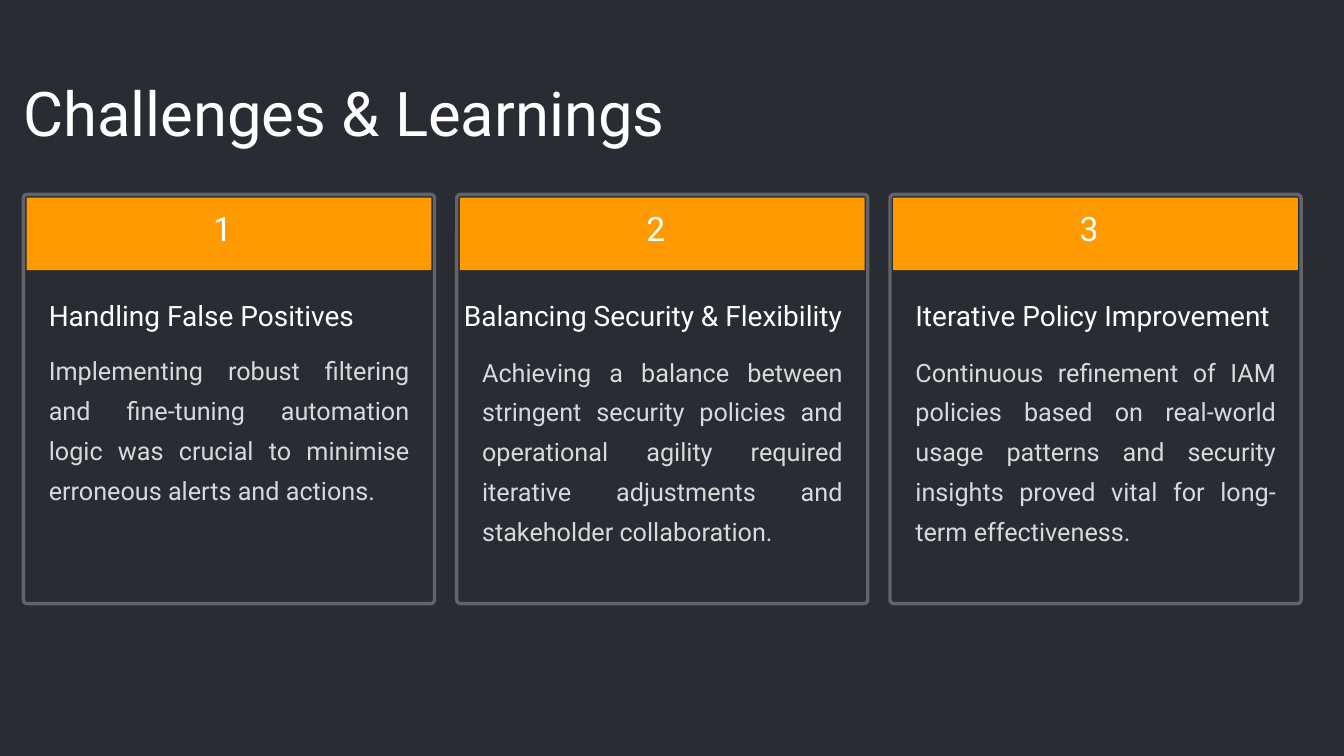
import pptx
import pptx.util
import pptx.dml.color
import pptx.enum.shapes
import pptx.enum.text

Cm, Pt = pptx.util.Cm, pptx.util.Pt
SHAPES = pptx.enum.shapes.MSO_SHAPE
JUSTIFY = pptx.enum.text.PP_ALIGN.JUSTIFY
LEFT = pptx.enum.text.PP_ALIGN.LEFT

TITLE = "Challenges & Learnings"
# heading, heading indent and width (cm), body, body top (cm)
CARDS = [
    ("Handling False Positives", 0.64, 7.77,
     "Implementing robust filtering and fine-tuning automation logic was "
     "crucial to minimise erroneous alerts and actions.", 8.71),
    ("Balancing Security & Flexibility", 0.18, 10.06,
     "Achieving a balance between stringent security policies and operational "
     "agility required iterative adjustments and stakeholder collaboration.", 8.75),
    ("Iterative Policy Improvement", 0.64, 9.53,
     "Continuous refinement of IAM policies based on real-world usage patterns "
     "and security insights proved vital for long-term effectiveness.", 8.75),
]
COLORS = {"background": "292C32", "border": "61646A", "banner": "FF9A00",
          "white": "FFFFFF", "body": "D9D9D9"}
FONT = "Roboto"

MARGIN, CARD_TOP = 0.59, 4.9
CARD_WIDTH, CARD_HEIGHT, CARD_PITCH = 10.36, 10.31, 10.92
INSET, BANNER_HEIGHT = 0.08, 1.83


def color(name):
    return pptx.dml.color.RGBColor.from_string(COLORS[name])


def add_text(shapes, text, place, size, leading, tint="white", align=LEFT):
    """Put one paragraph in a box without margins; place is left, top, width, height in cm."""
    box = shapes.add_textbox(*map(Cm, place))
    frame = box.text_frame
    frame.word_wrap = True
    frame.margin_left = frame.margin_right = frame.margin_top = frame.margin_bottom = 0
    para = frame.paragraphs[0]
    para.alignment = align
    para.line_spacing = Pt(leading)
    span = para.add_run()
    span.text = text
    span.font.name = FONT
    span.font.size = Pt(size)
    span.font.color.rgb = color(tint)


def add_card(page, index, heading, heading_indent, heading_width, body, body_top):
    left = MARGIN + index * CARD_PITCH
    shapes = page.shapes.add_group_shape().shapes

    border = shapes.add_shape(SHAPES.ROUNDED_RECTANGLE, Cm(left), Cm(CARD_TOP),
                              Cm(CARD_WIDTH), Cm(CARD_HEIGHT))
    border.adjustments[0] = 0.009
    border.shadow.inherit = False
    border.fill.background()
    border.line.color.rgb = color("border")
    border.line.width = Pt(2.4)

    banner = shapes.add_shape(SHAPES.RECTANGLE, Cm(left + INSET), Cm(CARD_TOP + INSET),
                              Cm(CARD_WIDTH - 2 * INSET), Cm(BANNER_HEIGHT))
    banner.shadow.inherit = False
    banner.fill.solid()
    banner.fill.fore_color.rgb = color("banner")
    banner.line.fill.background()

    add_text(shapes, str(index + 1), (left + 4.78, 5.33, 0.84, 1.14), 24, 26.5)
    add_text(shapes, heading, (left + heading_indent, 7.4, heading_width, 0.94), 20, 27.5)
    add_text(shapes, body, (left + 0.64, body_top, 9.09, 4.85), 18, 28.5, "body", JUSTIFY)


def main():
    deck = pptx.Presentation()
    deck.slide_width, deck.slide_height = Cm(33.87), Cm(19.05)
    page = deck.slides.add_slide(deck.slide_layouts[6])
    page.background.fill.solid()
    page.background.fill.fore_color.rgb = color("background")

    add_text(page.shapes, TITLE, (MARGIN, 1.8, 17, 1.91), 44, 55.5)
    for index, card in enumerate(CARDS):
        add_card(page, index, *card)
    deck.save("out.pptx")


if __name__ == "__main__":
    main()
